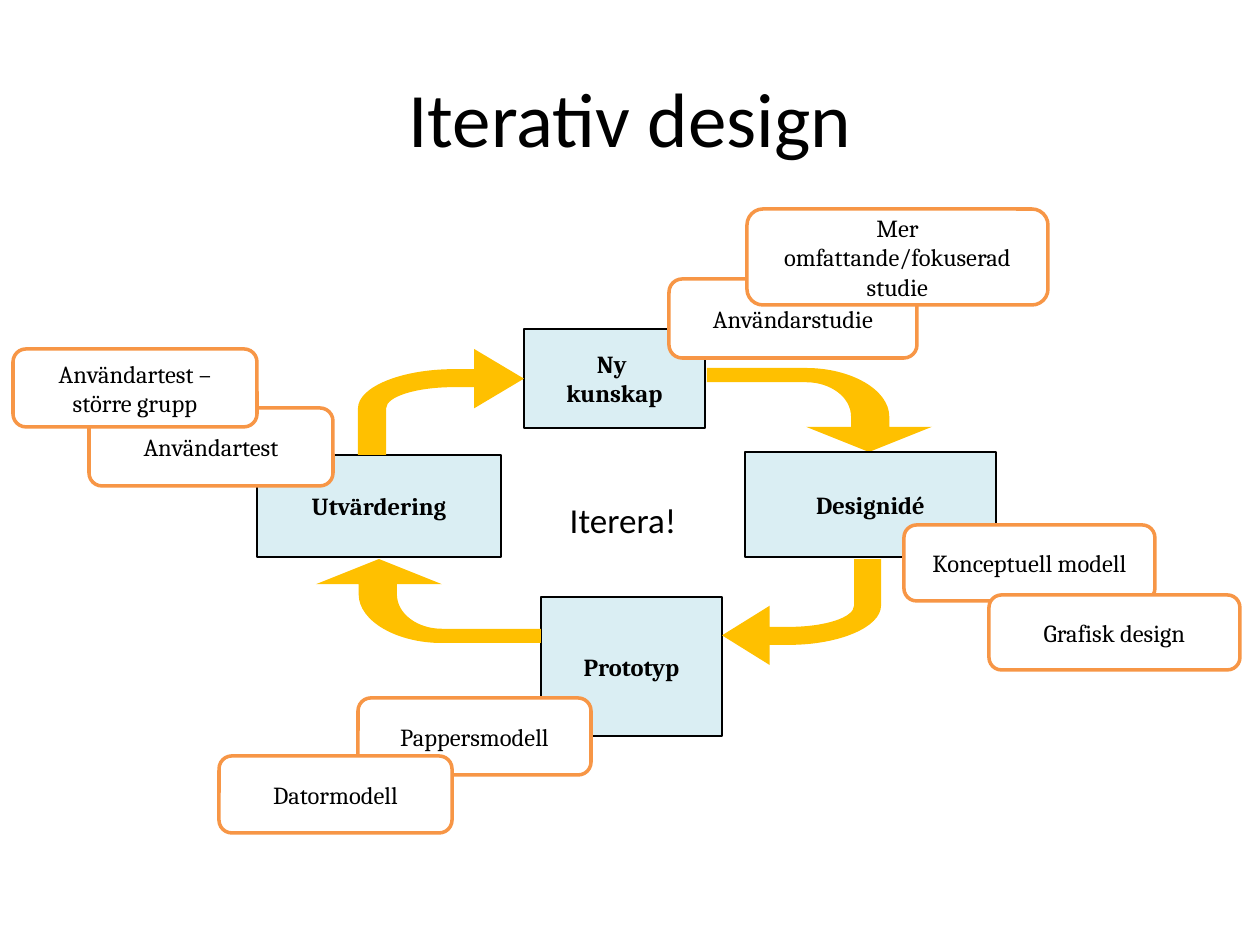
from pptx import Presentation
from pptx.dml.color import RGBColor
from pptx.enum.shapes import MSO_SHAPE
from pptx.enum.text import MSO_ANCHOR, PP_ALIGN
from pptx.oxml.ns import qn
from pptx.oxml.xmlchemy import OxmlElement
from pptx.util import Emu, Pt

RECT, ROUND = MSO_SHAPE.RECTANGLE, MSO_SHAPE.ROUNDED_RECTANGLE
MIDDLE, TOP = MSO_ANCHOR.MIDDLE, MSO_ANCHOR.TOP
CENTER = PP_ALIGN.CENTER
PX = 914400 / 126
COLORS = {"ink": "000000", "step": "DAEEF3", "arrow": "FFC000",
          "card": "FFFFFF", "edge": "F79646"}

# Content: text, then left, top, width, height in px
TITLE = ("Iterativ design", (63, 38, 1134, 158))
HUB = ("Iterera!", (501, 492, 244, 55))
# Cycle from back to front: a step has a text, an arrow its quarter turns
CYCLE = [
    ("Prototyp", (541, 597, 181, 139)),
    (3, (316, 559, 225, 84)),
    (2, (722, 559, 159, 106)),
    (1, (707, 368, 225, 84)),
    ("Designidé", (745, 452, 251, 105)),
    ("Utvärdering", (257, 455, 244, 102)),
    ("Ny \vkunskap", (524, 329, 181, 99)),
    (0, (358, 349, 166, 106)),
]
CARDS = [
    ("Användartest", (89, 408, 244, 78)),
    ("Användarstudie", (669, 279, 248, 79)),
    ("Konceptuell modell", (904, 525, 251, 76)),
    ("Pappersmodell", (358, 698, 233, 77)),
    ("Mer omfattande/fokuserad studie", (747, 209, 301, 96)),
    ("Grafisk design", (989, 595, 251, 75)),
    ("Datormodell", (219, 756, 233, 77)),
    ("Användartest – större grupp", (13, 349, 244, 78)),
]
# Bent arrow in a unit square; six numbers are a curve, two a line
BEND = [
    (1, 0.28), (0.7, 0), (0.7, 0.19), (0.58, 0.19),
    (0.26, 0.19, 0, 0.36, 0, 0.56),
    (0, 1), (0.17, 1), (0.17, 0.56),
    (0.17, 0.45, 0.35, 0.36, 0.58, 0.36),
    (0.7, 0.36), (0.7, 0.56),
]


def emu(box):
    return [Emu(round(n * PX)) for n in box]


def color(name):
    return RGBColor.from_string(COLORS[name])


def put_text(shape, text, size=14, font="Cambria", bold=False, anchor=MIDDLE):
    frame = shape.text_frame
    frame.word_wrap = True
    frame.vertical_anchor = anchor
    para = frame.paragraphs[0]
    para.text = text
    para.alignment = CENTER
    for run in para.runs:
        run.font.size, run.font.name, run.font.bold = Pt(size), font, bold
        run.font.color.rgb = color("ink")


def add_label(slide, text, box, **form):
    put_text(slide.shapes.add_textbox(*emu(box)), text, **form)


def paint(shape, fill):
    shape.shadow.inherit = False
    shape.fill.solid()
    shape.fill.fore_color.rgb = color(fill)


def add_box(slide, kind, text, box, fill, edge, width, **form):
    shape = slide.shapes.add_shape(kind, *emu(box))
    paint(shape, fill)
    shape.line.color.rgb = color(edge)
    shape.line.width = Pt(width)
    put_text(shape, text, **form)


def add_arrow(slide, turn, box):
    left, top, width, height = box
    if turn % 2:
        # Same centre, with the sides swapped before the turn
        shift = (width - height) / 2
        left, top, width, height = left + shift, top - shift, height, width
    spots = []
    for part in BEND:
        for u, v in zip(part[::2], part[1::2]):
            spots.append(emu((left + u * width, top + v * height)))
    build = slide.shapes.build_freeform(*spots[0])
    build.add_line_segments(spots[1:], close=True)
    shape = build.convert_to_shape()

    # Join the three points of each bend into one curve
    lines = list(shape.element.iter(qn("a:lnTo")))
    for part in BEND[1:]:
        group, lines = lines[:len(part) // 2], lines[len(part) // 2:]
        if len(group) == 3:
            curve = OxmlElement("a:cubicBezTo")
            group[0].addprevious(curve)
            for line in group:
                curve.append(line[0])
                line.getparent().remove(line)

    shape.rotation = 90 * turn
    paint(shape, "arrow")
    shape.line.fill.background()


def main():
    deck = Presentation()
    deck.slide_width, deck.slide_height = emu((1260, 945))
    slide = deck.slides.add_slide(deck.slide_layouts[6])

    # Title and centre label
    add_label(slide, *TITLE, size=44, font="Calibri")
    add_label(slide, *HUB, size=20, font="Calibri", anchor=TOP)

    # Cycle of steps and arrows
    for what, box in CYCLE:
        if isinstance(what, int):
            add_arrow(slide, what, box)
        else:
            add_box(slide, RECT, what, box, "step", "ink", 0.75, bold=True)

    # Method cards
    for text, box in CARDS:
        add_box(slide, ROUND, text, box, "card", "edge", 2)

    deck.save("out.pptx")


if __name__ == "__main__":
    main()
